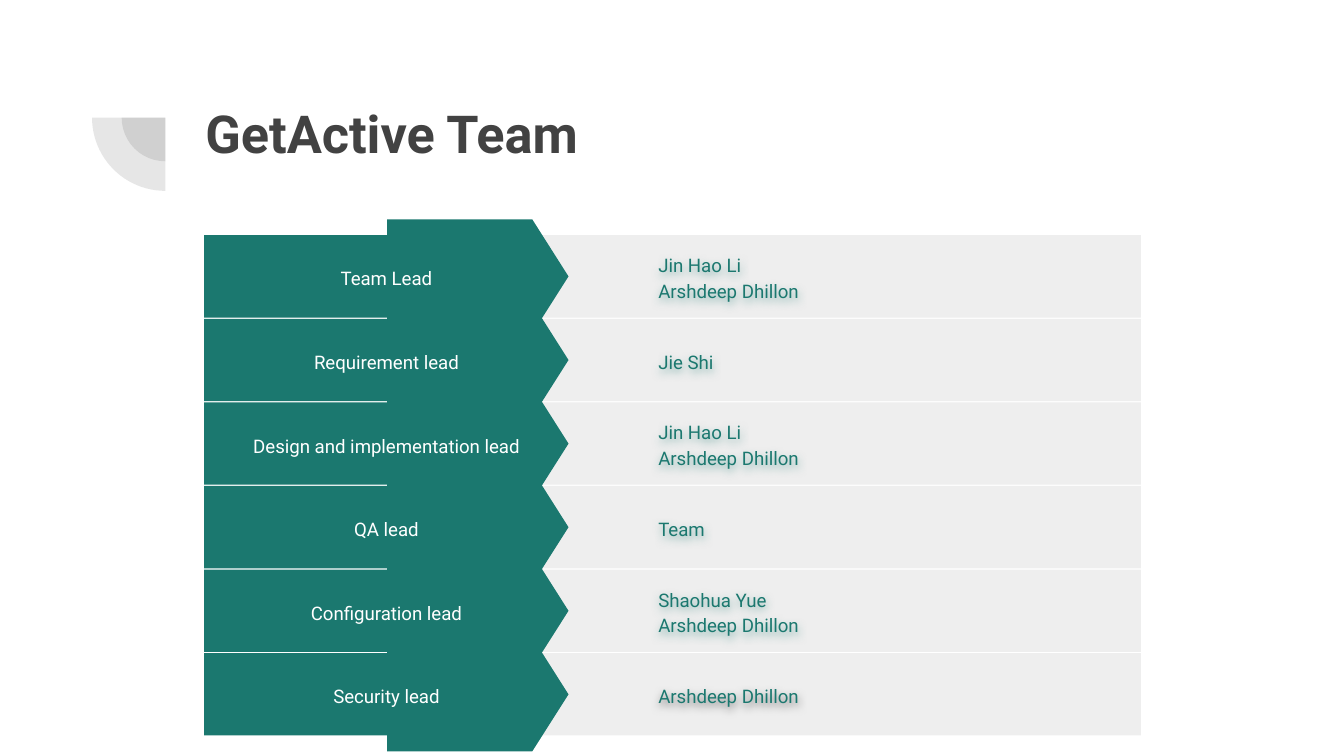
from lxml.etree import SubElement as Sub
from pptx import Presentation
from pptx.dml.color import RGBColor as Rgb
from pptx.enum.shapes import MSO_SHAPE as Kind
from pptx.enum.text import MSO_ANCHOR as Anchor, PP_ALIGN as Align
from pptx.oxml.ns import qn
from pptx.util import Inches, Pt

INK = {"green": "1B786F", "gray": "EEEEEE", "dark": "424242",
       "white": "FFFFFF", "black": "000000"}
UNIT = Inches(0.1)
COLS, ROWS = 100, 56.25
STEP, TALL, TOP = 6.22, 6.13, 17.5

deck = Presentation()
deck.slide_width, deck.slide_height = int(COLS * UNIT), int(ROWS * UNIT)
page = deck.slides.add_slide(deck.slide_layouts[6])


def block(kind, x, y, w, h, tint, turn=0):
    item = page.shapes.add_shape(kind, *[int(n * UNIT) for n in (x, y, w, h)])
    item.shadow.inherit = False
    item.fill.solid()
    item.fill.fore_color.rgb = Rgb.from_string(INK[tint])
    item.line.fill.background()
    item.rotation = turn
    return item


def write(text, x, y, w, h, tint, size=10, bold=False, align=Align.LEFT,
          anchor=Anchor.MIDDLE, space=1.15, indent=0, glow=None):
    box = page.shapes.add_textbox(*[int(n * UNIT) for n in (x, y, w, h)])
    frame = box.text_frame
    frame.word_wrap = True
    frame.vertical_anchor = anchor
    frame.margin_left = frame.margin_right = UNIT
    frame.margin_top = frame.margin_bottom = UNIT
    frame.text = text
    for para in frame.paragraphs:
        para.alignment = align
        para.line_spacing = space
        if indent:
            para._p.get_or_add_pPr().set("marL", str(int(indent * UNIT)))
        for run in para.runs:
            run.font.name = "Roboto"
            run.font.size = Pt(size)
            run.font.bold = bold
            run.font.color.rgb = Rgb.from_string(INK[tint])
    if glow:
        fx = Sub(box._element.spPr, qn("a:effectLst"))
        cast = Sub(fx, qn("a:outerShdw"), blurRad=str(Pt(4.5)),
                   dist=str(Pt(1.5)), dir="5400000", algn="bl", rotWithShape="0")
        hue = Sub(cast, qn("a:srgbClr"), val=INK[glow])
        Sub(hue, qn("a:alpha"), val="50000")


for wide in (6.5, 10.9):
    pie = block(Kind.PIE, 12.3 - wide / 2, 8.75 - wide / 2, wide, wide, "dark", 270)
    pie.adjustments[0], pie.adjustments[1] = 108, 162
    hue = pie._element.spPr.find(qn("a:solidFill"))[0]
    Sub(hue, qn("a:alpha"), val="13000")

write("GetActive Team", 14.3, 6.5, 76.9, 10.9, "dark", size=28, bold=True,
      anchor=Anchor.TOP, space=1)

team = [
    ("Team Lead", "Jin Hao Li\nArshdeep Dhillon", "green"),
    ("Requirement lead", "Jie Shi", "green"),
    ("Design and implementation lead", "Jin Hao Li\nArshdeep Dhillon", "green"),
    ("QA lead", "Team", "green"),
    ("Configuration lead", "Shaohua Yue\nArshdeep Dhillon", "green"),
    ("Security lead", "Arshdeep Dhillon", "black"),
]
span, long = 8.5, 13.5
for i, (role, names, glow) in enumerate(team):
    y = TOP + i * STEP
    mid = y + TALL / 2
    block(Kind.RECTANGLE, 34.3, y, 50.6, TALL, "gray")
    block(Kind.RECTANGLE, 15.2, y, 24.4, TALL, "green")
    block(Kind.FLOWCHART_OFFPAGE_CONNECTOR, 35.55 - span / 2, mid - long / 2,
          span, long, "green", 270)
    write(role, 15.9, y + 0.75, 25.7, 4.7, "white", align=Align.CENTER)
    write(names, 43, y, 39.3, TALL, "green", indent=5, glow=glow)

deck.save("out.pptx")
